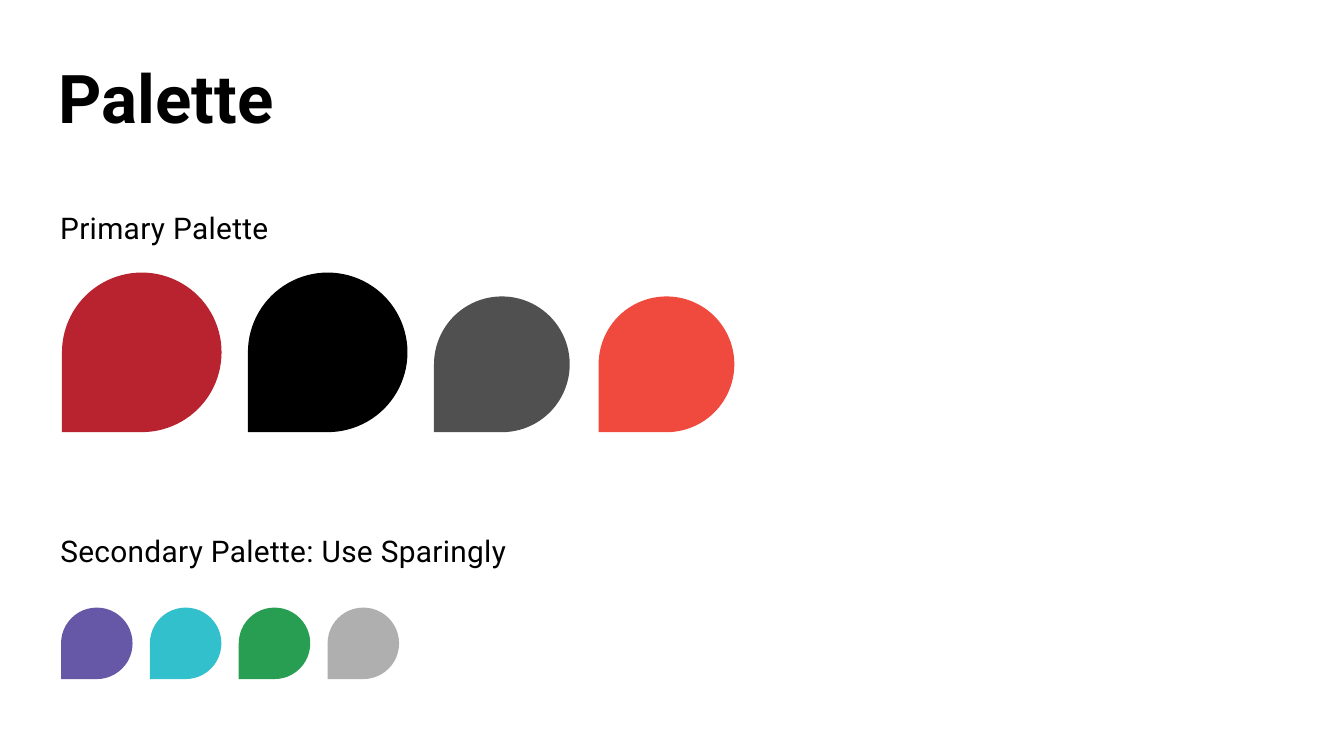
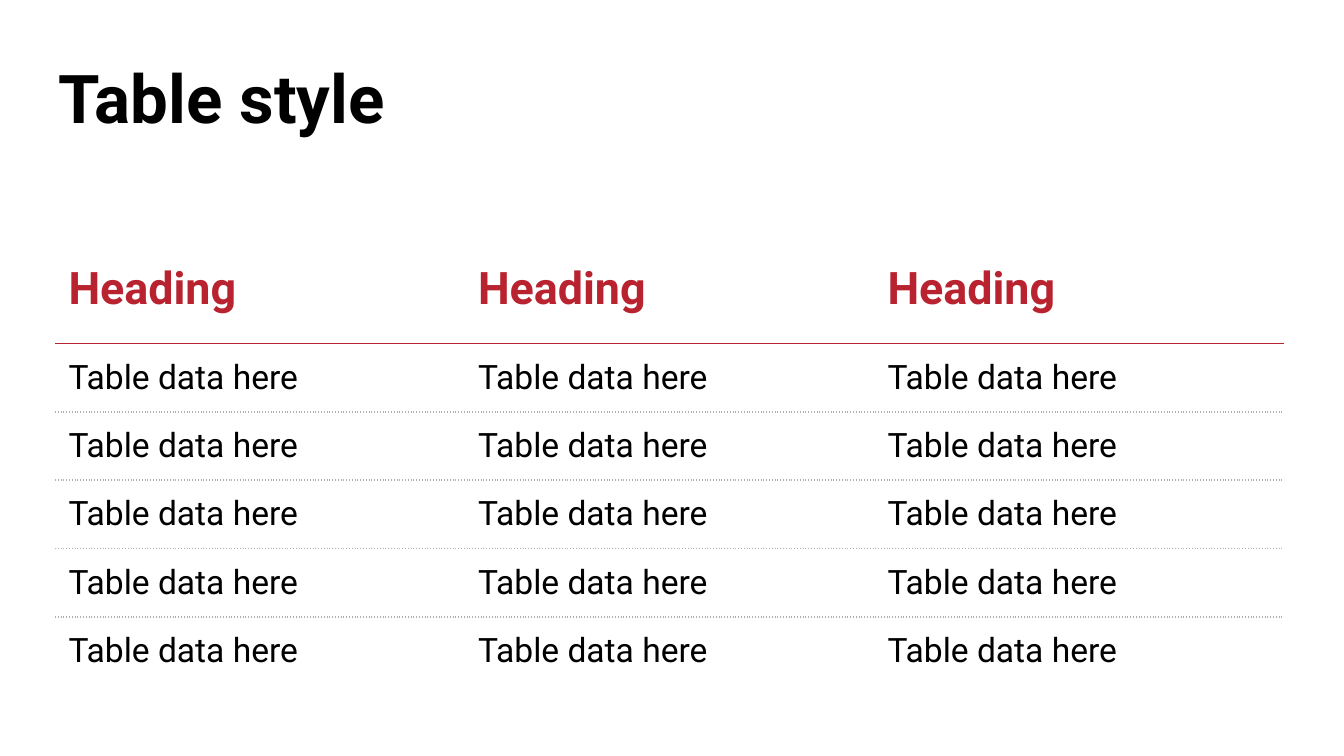
from pptx import Presentation
from pptx.dml.color import RGBColor as Rgb
from pptx.enum.shapes import MSO_SHAPE as Shape
from pptx.enum.text import MSO_ANCHOR as Anchor, MSO_AUTO_SIZE as Auto
from pptx.oxml.ns import qn
from pptx.util import Pt
from lxml.etree import SubElement as Sub

RED, BLACK, GREY = "B8232F", "000000", "AFAFAF"


def hue(code):
    return Rgb.from_string(code)


def write(frame, text, size=18, color=BLACK, bold=False, lead=None, track=None):
    para = frame.paragraphs[0]
    if lead:
        para.line_spacing = Pt(lead)
    run = para.add_run()
    run.text = text
    font = run.font
    font.name, font.size, font.bold = "Roboto", Pt(size), bold
    font.color.rgb = hue(color)
    if track:
        run._r.get_or_add_rPr().set("spc", str(round(track * 100)))


def edge(cell, side, color=None, dash="solid"):
    line = Sub(cell._tc.get_or_add_tcPr(), qn("a:ln" + side), w=str(Pt(1)))
    if color is None:
        Sub(line, qn("a:noFill"))
        return
    fill = Sub(line, qn("a:solidFill"))
    Sub(fill, qn("a:srgbClr"), val=color)
    Sub(line, qn("a:prstDash"), val=dash)


class Deck:
    def __init__(self):
        self.prs = Presentation()
        self.prs.slide_width, self.prs.slide_height = Pt(720), Pt(405)
        self.slide = None

    def page(self, title):
        self.slide = self.prs.slides.add_slide(self.prs.slide_layouts[6])
        back = self.slide.background.fill
        back.solid()
        back.fore_color.rgb = hue("FFFFFF")
        frame = self.box(24.5, 34.6, 664, 48.2)
        write(frame, title, size=36, bold=True, lead=35)

    def box(self, left, top, width, height, wrap=True):
        area = self.slide.shapes.add_textbox(Pt(left), Pt(top), Pt(width), Pt(height))
        area.text_frame.word_wrap = wrap
        return area.text_frame

    def label(self, text, top, width):
        frame = self.box(25.2, top, width, 26.6, wrap=False)
        frame.auto_size = Auto.SHAPE_TO_FIT_TEXT
        write(frame, text, size=16, track=0.2)

    def drop(self, left, base, size, color, host=None):
        shapes = (host or self.slide).shapes
        drop = shapes.add_shape(Shape.TEAR, Pt(left), Pt(base - size), Pt(size), Pt(size))
        drop.rotation = 180
        drop.shadow.inherit = False
        drop.fill.solid()
        drop.fill.fore_color.rgb = hue(color)
        drop.line.fill.background()

    def table(self, rows, left, top, width, head, body):
        count, cols = len(rows), len(rows[0])
        high = head + body * (count - 1)
        grid = self.slide.shapes.add_table(
            count, cols, Pt(left), Pt(top), Pt(width * cols), Pt(high)).table
        grid.first_row = grid.horz_banding = False
        for col in grid.columns:
            col.width = Pt(width)
        rules = [(None,), (RED,)] + [(GREY, "sysDot")] * (count - 2) + [(None,)]
        for y, row in enumerate(rows):
            grid.rows[y].height = Pt(body if y else head)
            style = {} if y else {"size": 24, "color": RED, "bold": True}
            for x, text in enumerate(row):
                cell = grid.cell(y, x)
                cell.vertical_anchor = Anchor.MIDDLE
                write(cell.text_frame, text, **style)
                edge(cell, "L")
                edge(cell, "R")
                edge(cell, "T", *rules[y])
                edge(cell, "B", *rules[y + 1])
                cell.fill.background()


def main():
    deck = Deck()
    deck.page("Palette")
    deck.label("Primary Palette", 108.7, 130)
    main_set = [(33.2, 85.5, RED), (132.8, 85.5, BLACK),
                (232.5, 72.7, "505050"), (320.7, 72.7, "F0493E")]
    for left, size, color in main_set:
        deck.drop(left, 231.5, size, color)
    deck.label("Secondary Palette: Use Sparingly", 281.7, 270)
    group = deck.slide.shapes.add_group_shape()
    for i, color in enumerate(["6658A6", "33C0CD", "289E52", GREY]):
        deck.drop(32.7 + 47.6 * i, 363.8, 38.3, color, group)

    deck.page("Table style")
    rows = [["Heading"] * 3] + [["Table data here"] * 3] * 5
    deck.table(rows, 29.5, 125.5, 219.4, 58.6, 36.6)
    deck.prs.save("out.pptx")


if __name__ == "__main__":
    main()
